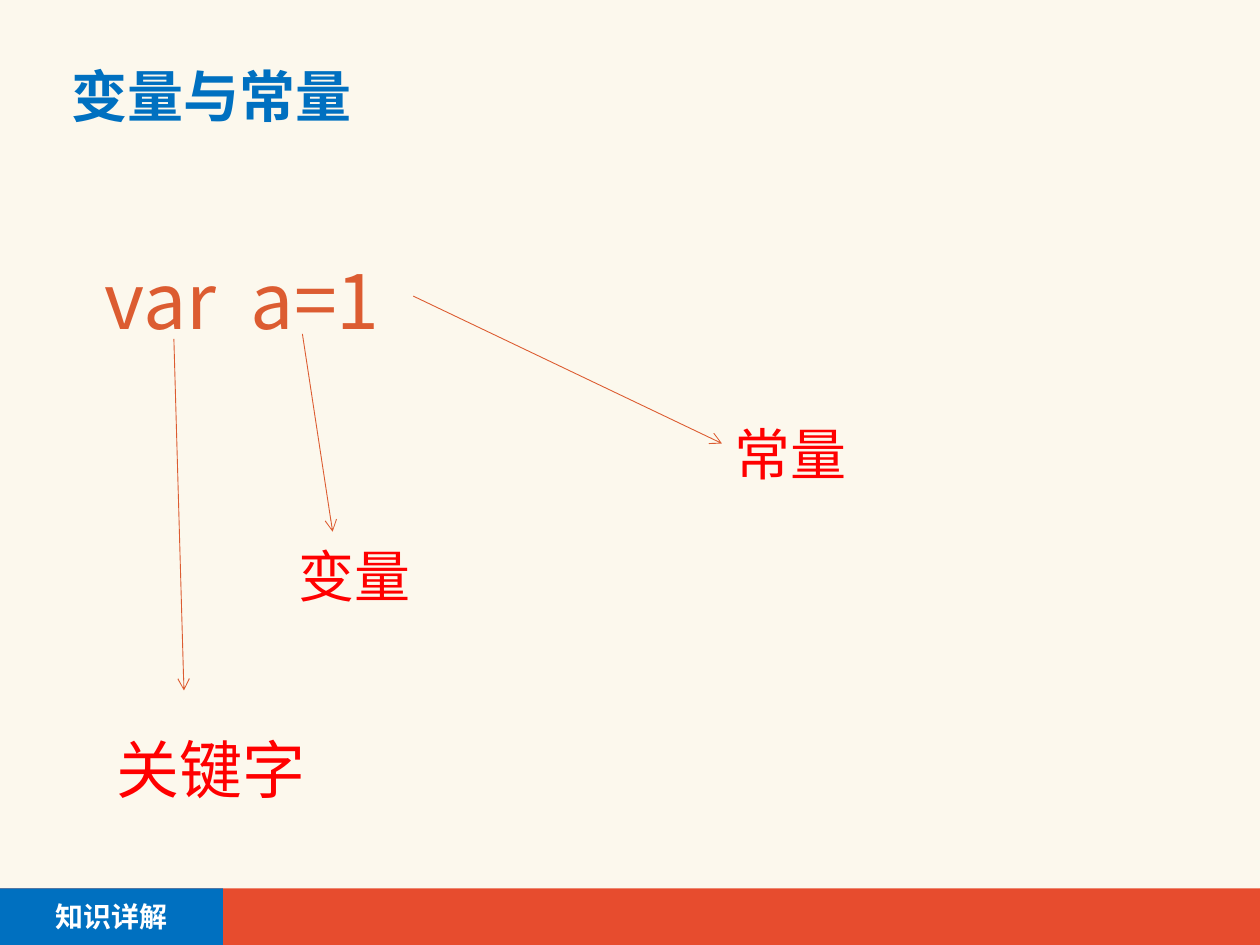
from dataclasses import dataclass

import pptx
import pptx.dml.color
import pptx.enum.shapes
import pptx.enum.text
import pptx.oxml
import pptx.oxml.ns
import pptx.util
from pptx.dml.color import RGBColor
from pptx.enum.text import MSO_ANCHOR, PP_ALIGN
from pptx.util import Inches

CREAM = RGBColor(0xFC, 0xF8, 0xED)
RED_BAR = RGBColor(0xE7, 0x4C, 0x2E)
BLUE = RGBColor(0x00, 0x70, 0xC0)
ORANGE = RGBColor(0xDC, 0x5C, 0x31)
RED = RGBColor(0xFF, 0x00, 0x00)
WHITE = RGBColor(0xFF, 0xFF, 0xFF)
CJK = "Noto Sans CJK SC"

Box = tuple[float, float, float, float]
Point = tuple[float, float]


@dataclass
class Callout:
    text: str
    size: int
    box: Box
    start: Point
    end: Point


CALLOUTS = [
    Callout("变量", 32, (2.27, 4.09, 1.09, 0.79), (2.4, 2.65), (2.64, 4.22)),
    Callout("常量", 32, (5.73, 3.12, 1.09, 0.79), (3.28, 2.35), (5.73, 3.52)),
    Callout("关键字", 36, (0.83, 5.57, 1.7, 0.88), (1.38, 2.69), (1.46, 5.48)),
]


def write(sp, text: str, *, size: int, color: RGBColor, font: str = CJK,
          bold: bool = False, align=PP_ALIGN.LEFT, anchor=MSO_ANCHOR.TOP,
          spacing: float = 1.0, wrap: bool = True) -> None:
    tf = sp.text_frame
    tf.word_wrap = wrap
    tf.vertical_anchor = anchor
    p = tf.paragraphs[0]
    p.alignment = align
    p.line_spacing = spacing
    r = p.add_run()
    r.text = text
    r.font.size = pptx.util.Pt(size)
    r.font.bold = bold
    r.font.color.rgb = color
    r.font.name = font
    ea = pptx.oxml.parse_xml(
        f'<a:ea {pptx.oxml.ns.nsdecls("a")} typeface="{CJK}"/>')
    r.font._element.find(pptx.oxml.ns.qn("a:latin")).addnext(ea)


def add_text(s, box: Box, text: str, **fmt):
    sp = s.shapes.add_textbox(*map(Inches, box))
    write(sp, text, **fmt)
    return sp


def add_bar(s, box: Box, color: RGBColor):
    sp = s.shapes.add_shape(pptx.enum.shapes.MSO_SHAPE.RECTANGLE,
                            *map(Inches, box))
    sp.shadow.inherit = False
    sp.fill.solid()
    sp.fill.fore_color.rgb = color
    sp.line.fill.background()
    return sp


def add_arrow(s, start: Point, end: Point) -> None:
    line = s.shapes.add_connector(pptx.enum.shapes.MSO_CONNECTOR.STRAIGHT,
                                  *map(Inches, start + end))
    line.line.color.rgb = ORANGE
    line.line.width = pptx.util.Pt(0.5)
    ns = pptx.oxml.ns.nsdecls("a")
    line.line._get_or_add_ln().append(
        pptx.oxml.parse_xml(f'<a:tailEnd {ns} type="arrow"/>'))
    line._element.spPr.append(pptx.oxml.parse_xml(f"<a:effectLst {ns}/>"))


def add_callout(s, c: Callout) -> None:
    add_arrow(s, c.start, c.end)
    sp = add_text(s, c.box, c.text, size=c.size, color=RED, font="Arial",
                  spacing=1.3, wrap=False)
    sp.text_frame.auto_size = pptx.enum.text.MSO_AUTO_SIZE.SHAPE_TO_FIT_TEXT


def main() -> None:
    prs = pptx.Presentation()
    prs.slide_width, prs.slide_height = Inches(10), Inches(7.5)
    s = prs.slides.add_slide(prs.slide_layouts[6])
    s.background.fill.solid()
    s.background.fill.fore_color.rgb = CREAM

    add_bar(s, (0, 7.05, 10, 0.45), RED_BAR)
    section = add_bar(s, (0, 7.05, 1.77, 0.45), BLUE)
    write(section, "知识详解", size=16, color=WHITE, bold=True,
          align=PP_ALIGN.CENTER, anchor=MSO_ANCHOR.MIDDLE)

    add_text(s, (0.47, 0.37, 9.07, 0.71), "变量与常量", size=32, color=BLUE,
             bold=True, anchor=MSO_ANCHOR.BOTTOM, spacing=0.9)
    add_text(s, (0.46, 1.59, 9.07, 4.76), "  var  a=1", size=44, color=ORANGE,
             align=PP_ALIGN.JUSTIFY, spacing=1.5)
    for callout in CALLOUTS:
        add_callout(s, callout)

    prs.save("out.pptx")


if __name__ == "__main__":
    main()
